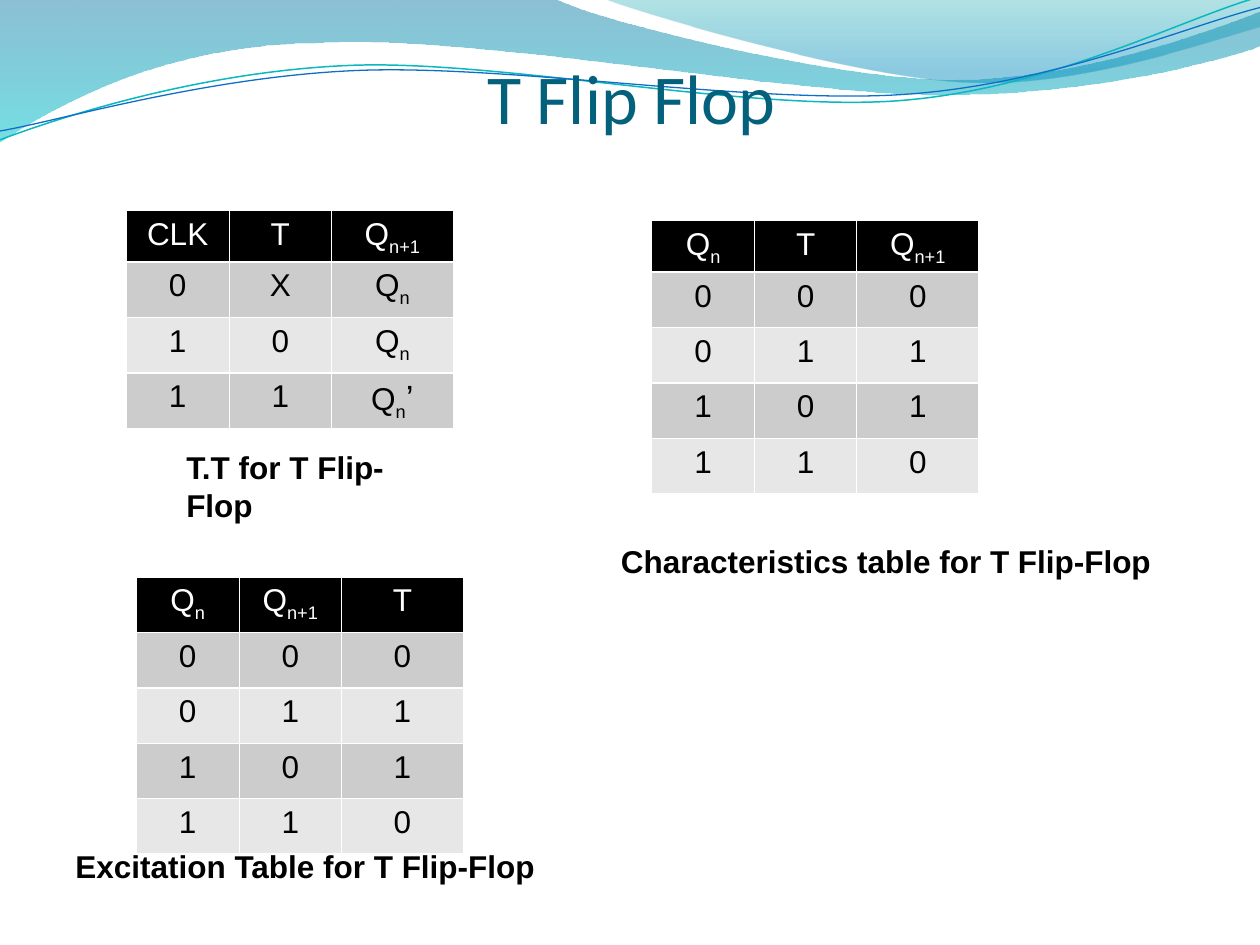
from dataclasses import dataclass

from lxml import etree
from pptx import Presentation
from pptx.dml.color import RGBColor
from pptx.enum.text import MSO_ANCHOR, PP_ALIGN
from pptx.oxml.ns import qn
from pptx.util import Inches, Pt

CENTER, LEFT = PP_ALIGN.CENTER, PP_ALIGN.LEFT
BOTTOM, TOP = MSO_ANCHOR.BOTTOM, MSO_ANCHOR.TOP


@dataclass(frozen=True)
class Theme:
    title: RGBColor = RGBColor(0x04, 0x61, 0x7B)
    text: RGBColor = RGBColor(0, 0, 0)
    header_text: RGBColor = RGBColor(255, 255, 255)
    header_fill: RGBColor = RGBColor(0, 0, 0)
    bands: tuple = (RGBColor(0xCC, 0xCC, 0xCC), RGBColor(0xE7, 0xE7, 0xE7))
    border: str = "FFFFFF"
    title_size: Pt = Pt(40)
    body_size: Pt = Pt(18)
    prime_size: Pt = Pt(20)
    title_font: str = "Calibri"
    body_font: str = "Arial"


theme = Theme()
presentation = Presentation()
presentation.slide_width, presentation.slide_height = Inches(10), Inches(7.5)
slide = presentation.slides.add_slide(presentation.slide_layouts[6])


def add_curve(start, segments, close):
    """Draw segments of one point (line) or three points (cubic Bezier)."""
    points = [(Inches(x), Inches(y)) for segment in segments for x, y in segment]
    builder = slide.shapes.build_freeform(*map(Inches, start))
    builder.add_line_segments(points, close=close)
    shape = builder.convert_to_shape()
    shape.shadow.inherit = False
    lines = list(shape._element.iter(qn("a:lnTo")))
    for segment in segments:
        group, lines = lines[:len(segment)], lines[len(segment):]
        if len(segment) == 3:
            bezier = etree.Element(qn("a:cubicBezTo"))
            group[0].addprevious(bezier)
            for line in group:
                bezier.append(line[0])
                line.getparent().remove(line)
    return shape


def add_text(box, text, size, font, color, bold=False, align=LEFT, anchor=TOP):
    frame = slide.shapes.add_textbox(*map(Inches, box)).text_frame
    frame.word_wrap = True
    frame.vertical_anchor = anchor
    paragraph = frame.paragraphs[0]
    paragraph.text = text
    paragraph.alignment = align
    paragraph.font.size, paragraph.font.name = size, font
    paragraph.font.bold, paragraph.font.color.rgb = bold, color
    return frame


# Waves: start, segments, gradient stops (position, colour, opacity %)
waves = [
    ((0, -0.01),
     [[(4.4, -0.01)],
      [(4.76, 0.17), (6.64, 0.63), (7.58, 0.63)],
      [(8.53, 0.63), (9.58, 0.26), (10, 0.09)],
      [(10.01, 0.36)],
      [(9.83, 0.44), (8.7, 0.76), (7.46, 0.75)],
      [(6.22, 0.75), (3.82, 0.28), (2.57, 0.34)],
      [(1.29, 0.35), (0.46, 0.83), (-0.01, 1.13)]],
     [(0, "0074A1", 45), (1, "00C6CF", 55)]),
    ((4.79, -0.01),
     [[(5.09, 0.11), (6.82, 0.62), (7.69, 0.65)],
      [(8.56, 0.69), (9.61, 0.32), (10, 0.21)],
      [(10, 0)]],
     [(0, "00A1A9", 30), (0.8, "008BBF", 45)]),
]
for start, segments, stops in waves:
    wave = add_curve(start, segments, close=True)
    wave.line.fill.background()
    wave.fill.gradient()
    wave.fill.gradient_angle = 270
    for stop, (position, color, _) in zip(wave.fill.gradient_stops, stops):
        stop.position = position
        stop.color.rgb = RGBColor.from_string(color)
    for element, (_, _, opacity) in zip(wave._element.iter(qn("a:srgbClr")), stops):
        etree.SubElement(element, qn("a:alpha")).set("val", str(opacity * 1000))

# Thin lines along the waves
wave_lines = [
    ((0, 1.11),
     [[(0.48, 0.93), (1.58, 0.57), (2.77, 0.52)],
      [(3.95, 0.47), (5.93, 0.89), (7.13, 0.8)],
      [(8.33, 0.71), (9.38, 0.15), (9.98, -0.02)]], "0AB8BF", 0.85),
    ((0, 1.04),
     [[(0.47, 0.96), (1.64, 0.61), (2.83, 0.56)],
      [(4.03, 0.51), (5.97, 0.83), (7.17, 0.75)],
      [(8.36, 0.67), (9.41, 0.21), (10, 0.06)]], "0F6FC6", 0.75),
]
for start, segments, color, width in wave_lines:
    wave_line = add_curve(start, segments, close=False)
    wave_line.fill.background()
    wave_line.line.color.rgb = RGBColor.from_string(color)
    wave_line.line.width = Pt(width)

title = add_text((0.75, 0, 8.52, 1.1), "T Flip Flop", theme.title_size,
                 theme.title_font, theme.title, align=CENTER, anchor=BOTTOM)
title.margin_left = title.margin_right = title.margin_bottom = 0

# Tables: left, top, header height, rows; text after an underscore is subscript
column_widths = (0.82, 0.81, 0.97)
row_height = 0.44
counting_rows = ["0 0 0", "0 1 1", "1 0 1", "1 1 0"]
tables = [
    (1, 1.67, 0.41, ["CLK T Q_n+1", "0 X Q_n", "1 0 Q_n", "1 1 Q_n_’"]),
    (5.17, 1.75, 0.41, ["Q_n T Q_n+1"] + counting_rows),
    (1.08, 4.58, 0.44, ["Q_n Q_n+1 T"] + counting_rows),
]
for left, top, header_height, rows in tables:
    height = header_height + row_height * (len(rows) - 1)
    table = slide.shapes.add_table(
        len(rows), len(column_widths), Inches(left), Inches(top),
        Inches(sum(column_widths)), Inches(height)).table
    for column, width in zip(table.columns, column_widths):
        column.width = Inches(width)
    for row_index, row in enumerate(rows):
        is_header = row_index == 0
        table.rows[row_index].height = Inches(header_height if is_header else row_height)
        for column_index, text in enumerate(row.split()):
            cell = table.cell(row_index, column_index)
            cell.margin_bottom = Inches(0.01)
            for side in "LRTB":
                border = etree.SubElement(
                    cell._tc.get_or_add_tcPr(), qn(f"a:ln{side}"), w=str(Pt(1)))
                fill = etree.SubElement(border, qn("a:solidFill"))
                etree.SubElement(fill, qn("a:srgbClr"), val=theme.border)
            cell.fill.solid()
            cell.fill.fore_color.rgb = (
                theme.header_fill if is_header else theme.bands[(row_index - 1) % 2])
            paragraph = cell.text_frame.paragraphs[0]
            paragraph.alignment = CENTER
            paragraph.font.name, paragraph.font.size = theme.body_font, theme.body_size
            paragraph.font.bold = False
            paragraph.font.color.rgb = theme.header_text if is_header else theme.text
            for part_index, part in enumerate(text.split("_")):
                run = paragraph.add_run()
                run.text = part
                if part_index == 1:
                    run._r.get_or_add_rPr().set("baseline", "-25000")
                if part == "’":
                    run.font.size = theme.prime_size

captions = [
    ((1.38, 3.51, 1.98, 0.4), "T.T for T Flip-Flop"),
    ((4.83, 4.25, 4.45, 0.71), "Characteristics table for T Flip-Flop"),
    ((0.5, 6.67, 3.89, 0.4), "Excitation Table for T Flip-Flop"),
]
for box, text in captions:
    add_text(box, text, theme.body_size, theme.body_font, theme.text, bold=True)

presentation.save("out.pptx")
